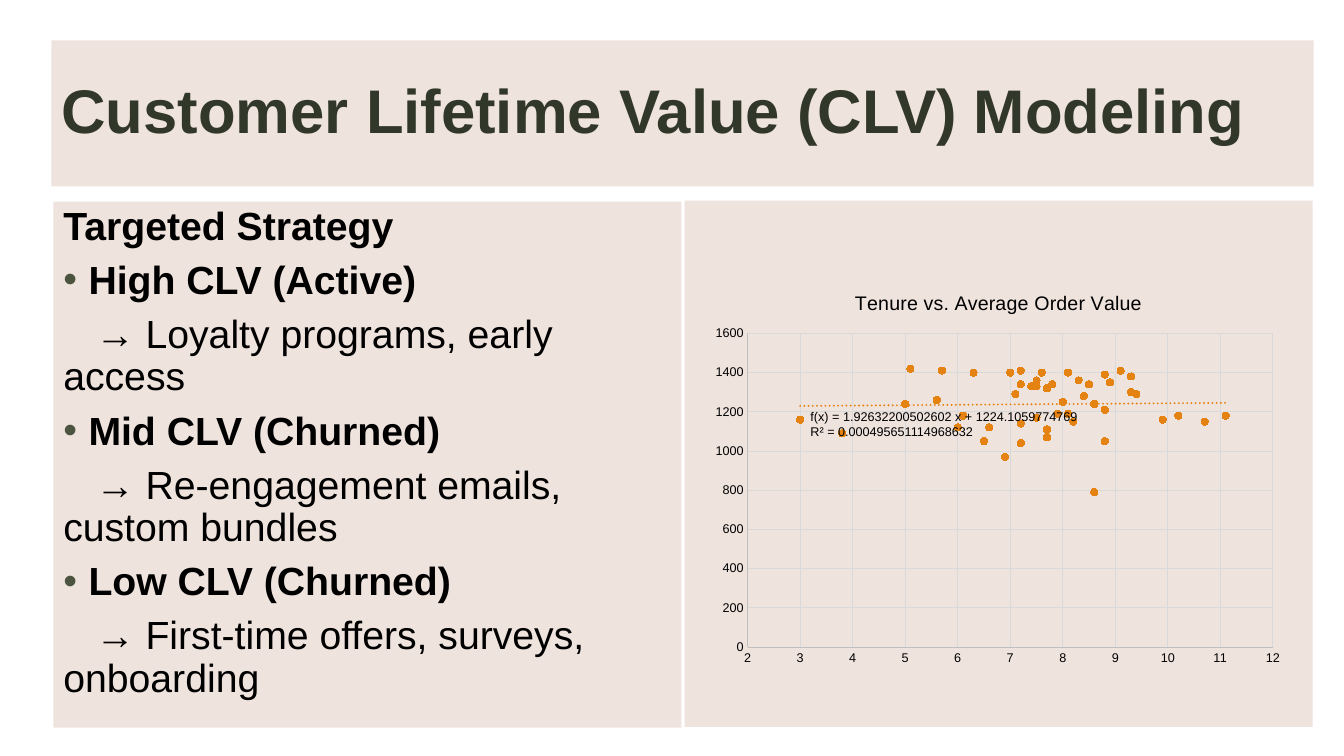
from lxml import etree
from pptx import Presentation
from pptx.chart.data import XyChartData
from pptx.dml.color import RGBColor
from pptx.enum.chart import XL_CHART_TYPE, XL_MARKER_STYLE, XL_TICK_MARK
from pptx.enum.shapes import MSO_SHAPE
from pptx.enum.text import MSO_ANCHOR, MSO_AUTO_SIZE, PP_ALIGN
from pptx.oxml import parse_xml
from pptx.oxml.ns import nsdecls, qn
from pptx.util import Inches, Pt

SCATTER = XL_CHART_TYPE.XY_SCATTER
CIRCLE = XL_MARKER_STYLE.CIRCLE
NO_TICK = XL_TICK_MARK.NONE
RECT = MSO_SHAPE.RECTANGLE
TOP, MIDDLE = MSO_ANCHOR.TOP, MSO_ANCHOR.MIDDLE
NO_FIT = MSO_AUTO_SIZE.NONE
LEFT = PP_ALIGN.LEFT

FONT = "Arial"
COLORS = {
    "panel": "EBDCD5", "title": "313829", "text": "000000", "bullet": "4A543E",
    "point": "E48312", "axis": "BFBFBF", "grid": "D9D9D9",
}

STRATEGIES = [
    ("High CLV (Active)", "Loyalty programs, early access"),
    ("Mid CLV (Churned)", "Re-engagement emails, custom bundles"),
    ("Low CLV (Churned)", "First-time offers, surveys, onboarding"),
]
TREND_FORMULA = ["f(x) = 1.92632200502602 x + 1224.1059774769",
                 "R² = 0.000495651114968632"]

TENURE = [
    3, 3.8, 5, 5.1, 5.6, 5.7, 6, 6.1, 6.3, 6.5, 6.6, 6.9, 7, 7.1, 7.2, 7.2, 7.2,
    7.2, 7.4, 7.5, 7.5, 7.5, 7.6, 7.7, 7.7, 7.7, 7.8, 7.9, 8, 8.1, 8.1, 8.2, 8.3,
    8.4, 8.5, 8.6, 8.6, 8.8, 8.8, 8.8, 8.9, 9.1, 9.3, 9.3, 9.4, 9.9, 10.2, 10.7,
    11.1,
]
ORDER_VALUE = [
    1160, 1090, 1240, 1420, 1260, 1410, 1120, 1180, 1400, 1050, 1120, 970, 1400,
    1290, 1040, 1340, 1410, 1140, 1330, 1170, 1330, 1360, 1400, 1320, 1070, 1110,
    1340, 1190, 1250, 1400, 1190, 1150, 1360, 1280, 1340, 1240, 790, 1210, 1050,
    1390, 1350, 1410, 1300, 1380, 1290, 1160, 1180, 1150, 1180,
]


def rgb(name):
    return RGBColor.from_string(COLORS[name])


def style_font(font, size, color="text", bold=False):
    font.name, font.size, font.bold = FONT, Pt(size), bold
    font.color.rgb = rgb(color)


def fill_panel(sp):
    """Give the shape the panel colour at 80 % opacity."""
    sp.fill.solid()
    sp.fill.fore_color.rgb = rgb("panel")
    color = sp.fill._xPr.find(qn("a:solidFill"))[0]
    etree.SubElement(color, qn("a:alpha"), val="80000")


def place(sp, left, top, width, height):
    sp.left, sp.top = Inches(left), Inches(top)
    sp.width, sp.height = Inches(width), Inches(height)


def write(p, text, size, color="text", bold=False, spacing=0.9, before=0,
          margin=0, indent=0, bullet=None):
    p.alignment = LEFT
    p.line_spacing, p.space_before = spacing, Pt(before)
    pPr = p._p.get_or_add_pPr()
    pPr.set("marL", str(Inches(margin)))
    pPr.set("indent", str(Inches(indent)))
    if bullet:
        bu_color = etree.SubElement(pPr, qn("a:buClr"))
        etree.SubElement(bu_color, qn("a:srgbClr"), val=COLORS["bullet"])
        etree.SubElement(pPr, qn("a:buFont"), typeface=FONT)
        etree.SubElement(pPr, qn("a:buChar"), char=bullet)
    r = p.add_run()
    r.text = text
    style_font(r.font, size, color, bold)


def set_frame(tf, anchor):
    tf.word_wrap, tf.auto_size, tf.vertical_anchor = True, NO_FIT, anchor


def add_title(s, text):
    sp = s.shapes.title
    place(sp, 0.51, 0.4, 12.52, 1.45)
    fill_panel(sp)
    set_frame(sp.text_frame, MIDDLE)
    write(sp.text_frame.paragraphs[0], text, 44, color="title", bold=True)


def add_chart_panel(s):
    sp = s.shapes.add_shape(RECT, Inches(6.79), Inches(1.99), Inches(6.23), Inches(5.22))
    sp.shadow.inherit = False
    sp.line.fill.background()
    fill_panel(sp)


def add_strategy(s):
    sp = s.shapes.add_textbox(Inches(0.53), Inches(2), Inches(6.23), Inches(5.22))
    fill_panel(sp)
    tf = sp.text_frame
    set_frame(tf, TOP)
    write(tf.paragraphs[0], "Targeted Strategy", 28, bold=True)
    for segment, action in STRATEGIES:
        write(tf.add_paragraph(), segment, 28, bold=True, before=8.4,
              margin=0.25, indent=-0.25, bullet="•")
        write(tf.add_paragraph(), f"→ {action}", 28, before=8.4, indent=0.32)


def add_trend_formula(s):
    sp = s.shapes.add_textbox(Inches(7.94), Inches(4.01), Inches(3.1), Inches(0.4))
    tf = sp.text_frame
    set_frame(tf, TOP)
    formula, fit = TREND_FORMULA
    write(tf.paragraphs[0], formula, 9, spacing=1.0)
    write(tf.add_paragraph(), fit, 9, spacing=1.0)


def style_axis(axis, low, high, step):
    axis.minimum_scale, axis.maximum_scale, axis.major_unit = low, high, step
    axis.major_tick_mark = axis.minor_tick_mark = NO_TICK
    axis.has_major_gridlines = True
    for line, color in ((axis.format.line, "axis"),
                        (axis.major_gridlines.format.line, "grid")):
        line.color.rgb, line.width = rgb(color), Pt(0.75)
    style_font(axis.tick_labels.font, 9)
    axis.tick_labels.number_format = "General"
    axis.tick_labels.number_format_is_linked = False


def add_trendline(series):
    trend = parse_xml(
        f'<c:trendline {nsdecls("c", "a")}><c:spPr><a:ln w="{Pt(1.5)}" cap="rnd">'
        f'<a:solidFill><a:srgbClr val="{COLORS["point"]}"/></a:solidFill>'
        '<a:prstDash val="sysDot"/></a:ln></c:spPr><c:trendlineType val="linear"/>'
        '<c:dispRSqr val="0"/><c:dispEq val="0"/></c:trendline>')
    series._element.find(qn("c:xVal")).addprevious(trend)


def set_plot_area(chart, **fractions):
    """Place the inner plot area by fractions of the chart's size."""
    area = chart._chartSpace.chart.plotArea
    for old in area.findall(qn("c:layout")):
        area.remove(old)
    sizes = "".join(f'<c:{k} val="{v}"/>' for k, v in fractions.items())
    area.insert(0, parse_xml(
        f'<c:layout {nsdecls("c")}><c:manualLayout><c:layoutTarget val="inner"/>'
        f'<c:xMode val="edge"/><c:yMode val="edge"/>{sizes}'
        '</c:manualLayout></c:layout>'))


def add_scatter(s, title):
    data = XyChartData()
    points = data.add_series("Series 1")
    for x, y in zip(TENURE, ORDER_VALUE):
        points.add_data_point(x, y)
    chart = s.shapes.add_chart(SCATTER, Inches(7.01), Inches(2.71),
                               Inches(5.79), Inches(3.99), data).chart
    style_font(chart.font, 10)
    chart.has_legend = False
    chart.has_title = True
    p = chart.chart_title.text_frame.paragraphs[0]
    r = p.add_run()
    r.text = title
    style_font(r.font, 14)
    style_axis(chart.category_axis, 2, 12, 1)
    style_axis(chart.value_axis, 0, 1600, 200)

    plot = chart.plots[0]
    plot.vary_by_categories = False
    series = plot.series[0]
    series.format.line.fill.background()
    series.marker.style, series.marker.size = CIRCLE, 5
    series.marker.format.fill.solid()
    series.marker.format.fill.fore_color.rgb = rgb("point")
    series.marker.format.line.color.rgb = rgb("point")
    add_trendline(series)
    set_plot_area(chart, x=0.07, y=0.15, w=0.9, h=0.78)


def main():
    prs = Presentation()
    prs.slide_width, prs.slide_height = Inches(13.33), Inches(7.5)
    s = prs.slides.add_slide(prs.slide_layouts[5])
    add_chart_panel(s)
    add_title(s, "Customer Lifetime Value (CLV) Modeling")
    add_strategy(s)
    add_scatter(s, "Tenure vs. Average Order Value")
    add_trend_formula(s)
    prs.save("out.pptx")


if __name__ == "__main__":
    main()
